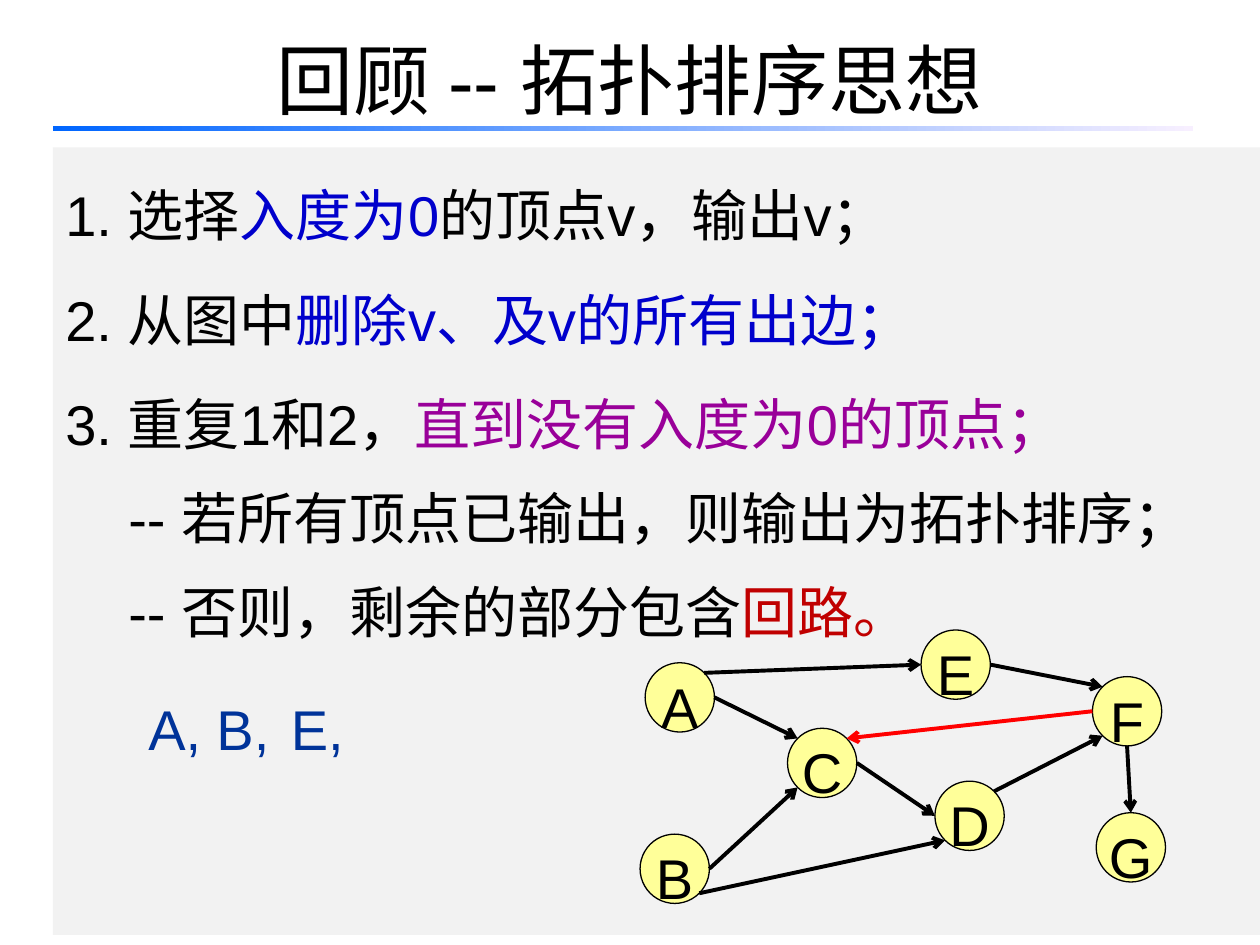
from lxml import etree
from pptx import Presentation
from pptx.dml.color import RGBColor
from pptx.enum.shapes import MSO_CONNECTOR, MSO_SHAPE
from pptx.enum.text import MSO_ANCHOR, PP_ALIGN
from pptx.oxml.ns import qn
from pptx.util import Inches, Pt

RECTANGLE, OVAL = MSO_SHAPE.RECTANGLE, MSO_SHAPE.OVAL
STRAIGHT = MSO_CONNECTOR.STRAIGHT
MIDDLE, TOP = MSO_ANCHOR.MIDDLE, MSO_ANCHOR.TOP
CENTER, JUSTIFY, LEFT = PP_ALIGN.CENTER, PP_ALIGN.JUSTIFY, PP_ALIGN.LEFT

BLACK = RGBColor(0x00, 0x00, 0x00)
BLUE = RGBColor(0x00, 0x00, 0xCC)
PURPLE = RGBColor(0x99, 0x00, 0x99)
DARK_RED = RGBColor(0xC0, 0x00, 0x00)
RED = RGBColor(0xFF, 0x00, 0x00)
NAVY = RGBColor(0x00, 0x33, 0x99)
YELLOW = RGBColor(0xFF, 0xFF, 0x99)
GREY = RGBColor(0xF2, 0xF2, 0xF2)
RULE_START = RGBColor(0x00, 0x66, 0xFF)
RULE_END = RGBColor(0xF7, 0xEF, 0xFF)

FONT = "Arial"
BODY_SIZE = 32
NODE_SIZE = 0.55
DIAGONAL = 0.5 ** 0.5

STEPS = [
    (True, 0, [("1. 选择", BLACK), ("入度为0", BLUE), ("的顶点v，输出v；", BLACK)]),
    (True, 6, [("2. 从图中", BLACK), ("删除v、及v的所有出边；", BLUE)]),
    (True, 6, [("3. 重复1和2，", BLACK), ("直到没有入度为0的顶点；", PURPLE)]),
    (False, 0, [("-- 若所有顶点已输出，则输出为拓扑排序；", BLACK)]),
    (False, 0, [("-- 否则，剩余的部分包含", BLACK), ("回路。", DARK_RED)]),
]

NODES = {
    "A": (0.04, 0.26), "B": (0, 1.62), "C": (1.17, 0.78), "D": (2.34, 1.2),
    "E": (2.23, 0), "F": (3.59, 0.37), "G": (3.62, 1.45),
}

PORTS = {
    "left": (-1, 0), "right": (1, 0), "top": (0, -1), "bottom": (0, 1),
    "top left": (-DIAGONAL, -DIAGONAL), "top right": (DIAGONAL, -DIAGONAL),
    "bottom left": (-DIAGONAL, DIAGONAL), "bottom right": (DIAGONAL, DIAGONAL),
}

EDGES = [
    ("A", "right", "C", "top left", BLACK),
    ("A", "top right", "E", "left", BLACK),
    ("B", "right", "C", "bottom left", BLACK),
    ("B", "bottom right", "D", "bottom left", BLACK),
    ("C", "right", "D", "left", BLACK),
    ("D", "top right", "F", "bottom left", BLACK),
    ("E", "right", "F", "top left", BLACK),
    ("F", "left", "C", "top right", RED),
    ("F", "bottom", "G", "top", BLACK),
]


def format_span(span, size, color):
    """Set the font, size and colour of one run."""
    span.font.name = FONT
    span.font.size = Pt(size)
    span.font.color.rgb = color


def write_label(shape, text, color, align):
    """Write one unwrapped line of body-size text in a shape."""
    shape.text_frame.word_wrap = False
    para = shape.text_frame.paragraphs[0]
    para.text = text
    para.alignment = align
    para.line_spacing = 1.25
    format_span(para.runs[0], BODY_SIZE, color)


def add_title(page, left, top, width, height):
    """Place the slide title in its placeholder."""
    title = page.shapes.title
    title.left, title.top = Inches(left), Inches(top)
    title.width, title.height = Inches(width), Inches(height)
    title.text_frame.text = "回顾 -- 拓扑排序思想"
    title.text_frame.vertical_anchor = MIDDLE
    para = title.text_frame.paragraphs[0]
    para.alignment = CENTER
    format_span(para.runs[0], 44, BLACK)


def add_block(page, left, top, width, height):
    """Add a rectangle without outline or shadow."""
    block = page.shapes.add_shape(
        RECTANGLE, Inches(left), Inches(top), Inches(width), Inches(height))
    block.shadow.inherit = False
    block.line.fill.background()
    return block


def add_title_rule(page, left, top, width, height):
    """Draw the fading rule under the title."""
    rule = add_block(page, left, top, width, height)
    rule.fill.gradient()
    rule.fill.gradient_angle = 0
    for stop, color in zip(rule.fill.gradient_stops, (RULE_START, RULE_END)):
        stop.color.rgb = color


def add_steps(page, left, top, width, height):
    """Place the grey panel with the steps of the algorithm."""
    panel = add_block(page, left, top, width, height)
    panel.fill.solid()
    panel.fill.fore_color.rgb = GREY
    frame = panel.text_frame
    frame.word_wrap = True
    frame.vertical_anchor = TOP
    for index, (numbered, space, spans) in enumerate(STEPS):
        para = frame.add_paragraph() if index else frame.paragraphs[0]
        para.alignment = JUSTIFY
        para.line_spacing = 1.4
        para.space_before = Pt(space)
        margin, indent = (0.56, -0.56) if numbered else (0.5, 0)
        properties = para._p.get_or_add_pPr()
        properties.set("marL", str(Inches(margin)))
        properties.set("indent", str(Inches(indent)))
        for text, color in spans:
            span = para.add_run()
            span.text = text
            format_span(span, BODY_SIZE, color)


def add_output(page, left, top, width, height):
    """List the vertices output so far."""
    for text, offset in (("A,", 0), ("B,", 0.54), ("E,", 1.13)):
        box = page.shapes.add_textbox(
            Inches(left + offset), Inches(top), Inches(width), Inches(height))
        write_label(box, text, NAVY, LEFT)


def add_edge(page, start, end, color):
    """Draw an arrow between two points."""
    edge = page.shapes.add_connector(
        STRAIGHT, *(Inches(value) for value in start + end))
    edge.line.width = Pt(2.25)
    edge.line.color.rgb = color
    etree.SubElement(edge.line._get_or_add_ln(), qn("a:tailEnd"), type="arrow")
    etree.SubElement(edge._element.spPr, qn("a:effectLst"))


def add_graph(page, left, top):
    """Draw the directed graph from its top left corner."""
    radius = NODE_SIZE / 2

    def port_point(name, port):
        """Return the point where an edge meets a node."""
        return tuple(origin + offset + radius * (1 + direction)
                     for origin, offset, direction
                     in zip((left, top), NODES[name], PORTS[port]))

    for name, (across, down) in NODES.items():
        node = page.shapes.add_shape(
            OVAL, Inches(left + across), Inches(top + down),
            Inches(NODE_SIZE), Inches(NODE_SIZE))
        node.shadow.inherit = False
        node.fill.solid()
        node.fill.fore_color.rgb = YELLOW
        node.line.color.rgb = BLACK
        node.line.width = Pt(0.75)
        node.text_frame.vertical_anchor = MIDDLE
        write_label(node, name, BLACK, CENTER)
    for source, source_port, target, target_port, color in EDGES:
        add_edge(page, port_point(source, source_port),
                 port_point(target, target_port), color)


def main():
    """Build and save the slide."""
    deck = Presentation()
    deck.slide_width, deck.slide_height = Inches(10), Inches(7.5)
    page = deck.slides.add_slide(deck.slide_layouts[5])
    add_title(page, 0.5, 0, 9, 1.25)
    add_title_rule(page, 0.42, 1, 9.05, 0.04)
    add_steps(page, 0.42, 1.17, 9.58, 6.25)
    add_output(page, 1.08, 5.33, 0.63, 0.77)
    add_graph(page, 5.08, 5)
    deck.save("out.pptx")


if __name__ == "__main__":
    main()
